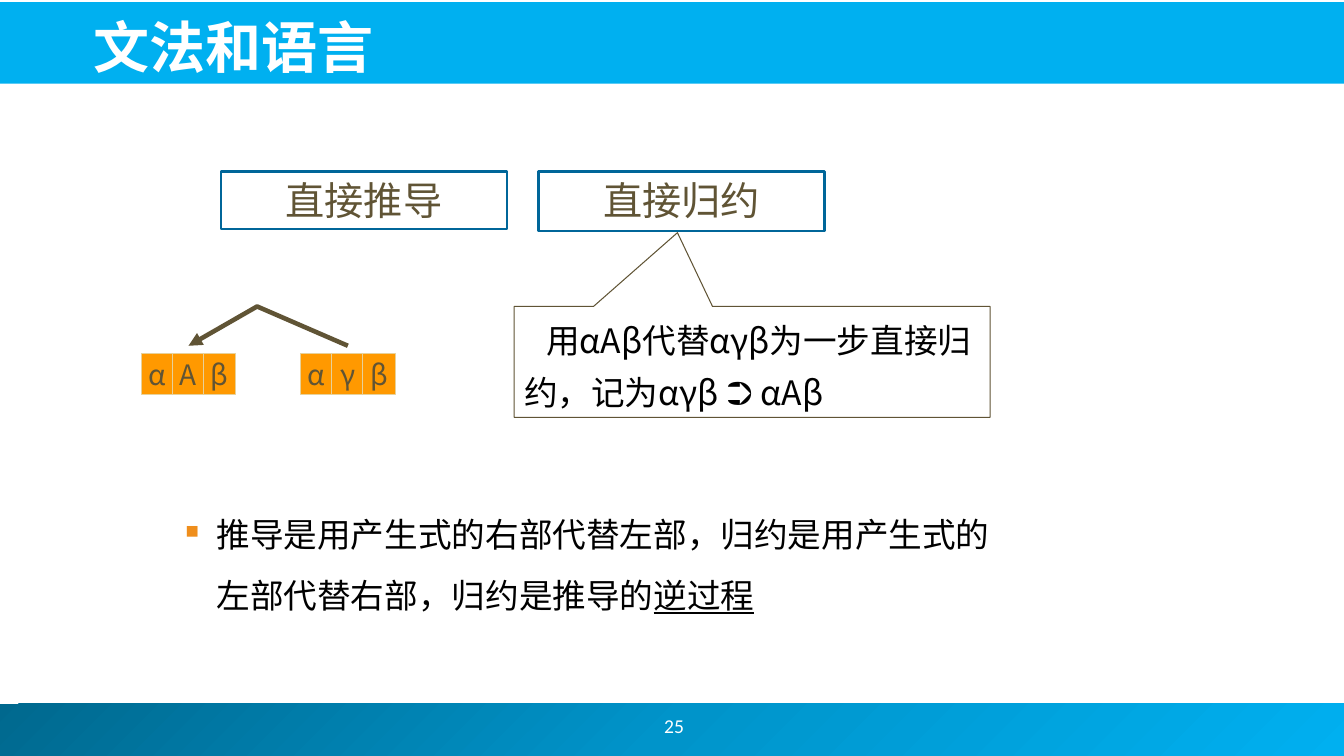
from copy import deepcopy

from lxml import etree
from pptx import Presentation
from pptx.dml.color import RGBColor
from pptx.enum.shapes import MSO_SHAPE
from pptx.enum.text import MSO_ANCHOR, PP_ALIGN
from pptx.oxml.ns import qn
from pptx.util import Inches, Pt

RECT = MSO_SHAPE.RECTANGLE
CALLOUT = MSO_SHAPE.RECTANGULAR_CALLOUT
TOP, MIDDLE, BOTTOM = MSO_ANCHOR.TOP, MSO_ANCHOR.MIDDLE, MSO_ANCHOR.BOTTOM
LEFT, CENTER = PP_ALIGN.LEFT, PP_ALIGN.CENTER

SANS_SC, SANS_JP = "Noto Sans CJK SC", "Noto Sans CJK JP"
WHITE, BLACK, BROWN, BLUE = "FFFFFF", "000000", "605435", "00B0F0"


def color(value):
    return RGBColor.from_string(value)


def add_box(page, at, fill=None, line=None, width=0.75, kind=RECT):
    box = page.shapes.add_shape(kind, *map(Inches, at))
    box.shadow.inherit = False
    if fill:
        box.fill.solid()
        box.fill.fore_color.rgb = color(fill)
    else:
        box.fill.background()
    if line:
        box.line.color.rgb = color(line)
        box.line.width = Pt(width)
    else:
        box.line.fill.background()
    return box


def add_textbox(page, at):
    return page.shapes.add_textbox(*map(Inches, at))


def write(box, spans, size, tone, font, anchor=TOP, align=LEFT, wrap=True, **spacing):
    """Fill the box with one paragraph; spans are (text, font changes) pairs."""
    frame = box.text_frame
    frame.word_wrap = wrap
    frame.vertical_anchor = anchor
    para = frame.paragraphs[0]
    for name, value in {"alignment": align, **spacing}.items():
        setattr(para, name, value)
    for text, changes in spans:
        span = para.add_run()
        span.text = text
        style = {"name": font, "size": Pt(size), **changes}
        for name, value in style.items():
            setattr(span.font, name, value)
        span.font.color.rgb = color(tone)
        east_asian = etree.SubElement(span.font._element, qn("a:ea"))
        east_asian.set("typeface", style["name"])
    return para


def set_bullet(para, char, tone, percent, margin, indent):
    props = para._p.get_or_add_pPr()
    props.set("marL", str(Inches(margin)))
    props.set("indent", str(Inches(indent)))
    bullet_color = etree.SubElement(props, qn("a:buClr"))
    etree.SubElement(bullet_color, qn("a:srgbClr"), val=tone)
    etree.SubElement(props, qn("a:buSzPct"), val=str(percent * 1000))
    etree.SubElement(props, qn("a:buChar"), char=char)


def set_gradient(box, tones):
    """Spread the tones evenly from the top left to the bottom right."""
    box.fill.gradient()
    box.fill.gradient_angle = 315
    stop_list = box.fill._xPr.find(qn("a:gradFill")).find(qn("a:gsLst"))
    stop_list.append(deepcopy(stop_list[-1]))
    for index, (stop, tone) in enumerate(zip(box.fill.gradient_stops, tones)):
        stop.position = index / (len(tones) - 1)
        stop.color.rgb = color(tone)


def add_symbols(page, left, symbols):
    """A row of adjoining cells with one grammar symbol each."""
    for index, symbol in enumerate(symbols):
        cell = add_box(page, (left + index * 0.31, 3.51, 0.32, 0.4), "FF9900", "E7D19A")
        write(cell, [(symbol, {})], 20, BROWN, SANS_JP, MIDDLE, CENTER, wrap=False)


def add_bent_arrow(page, points):
    """An open line with its arrowhead at the first point."""
    start, *others = [(Inches(x), Inches(y)) for x, y in points]
    builder = page.shapes.build_freeform(*start)
    builder.add_line_segments(others, close=False)
    arrow = builder.convert_to_shape()
    arrow.shadow.inherit = False
    arrow.fill.background()
    arrow.line.color.rgb = color(BROWN)
    arrow.line.width = Pt(3.25)
    etree.SubElement(arrow.line._get_or_add_ln(), qn("a:headEnd"), type="triangle")


def main():
    deck = Presentation()
    deck.slide_width, deck.slide_height = Inches(13.33), Inches(7.5)
    page = deck.slides.add_slide(deck.slide_layouts[6])

    # Footer and title bands
    footer = add_box(page, (-0.05, 6.98, 13.39, 0.52), BLUE)
    set_gradient(footer, ["00688E", "0094CA", BLUE])
    add_box(page, (-0.02, 0.02, 13.36, 0.81), BLUE)
    number = add_textbox(page, (5.24, 6.95, 2.89, 0.5))
    write(number, [("25", {})], 14, WHITE, "Calibri", MIDDLE, CENTER)
    title = add_textbox(page, (0.83, 0.05, 12.06, 0.79))
    write(title, [("文法和语言", {"bold": True})], 40, WHITE, SANS_JP, BOTTOM)

    # Summary with bullet
    summary = add_textbox(page, (1.24, 4.85, 8.9, 1.26))
    para = write(summary, [
        ("推导是用产生式的右部代替左部，归约是用产生式的左部代替右部，归约是推导的", {}),
        ("逆过程", {"underline": True}),
    ], 24, BLACK, SANS_SC, line_spacing=1.5, space_before=Pt(4.8))
    set_bullet(para, "■", "EF8E1C", 55, 0.81, -0.31)

    # The two terms
    for left, height, term in [(2.19, 0.57, "直接推导"), (5.34, 0.59, "直接归约")]:
        box = add_box(page, (left, 1.7, 2.84, height), WHITE, "006699", 1.75)
        write(box, [(term, {})], 28, BROWN, SANS_SC, align=CENTER)

    # Callout that explains reduction
    callout = add_box(page, (5.1, 3.04, 4.72, 1.1), line=BROWN, kind=CALLOUT)
    callout.adjustments[0], callout.adjustments[1] = -0.157, -1.165
    para = write(callout, [
        ("用αAβ代替αγβ为一步直接归约，记为αγβ", {}),
        (" ➲ ", {"name": "Times New Roman"}),
        ("αAβ", {}),
    ], 24, BLACK, SANS_JP, BOTTOM, line_spacing=1.3, space_before=Pt(4.8))
    para._p.get_or_add_pPr().set("indent", str(Inches(0.22)))

    # Symbol strings joined by the reduction arrow
    add_symbols(page, 1.4, "αAβ")
    add_symbols(page, 2.98, "αγβ")
    add_bent_arrow(page, [(1.87, 3.43), (2.55, 3.04), (3.45, 3.43)])

    deck.save("out.pptx")


if __name__ == "__main__":
    main()
